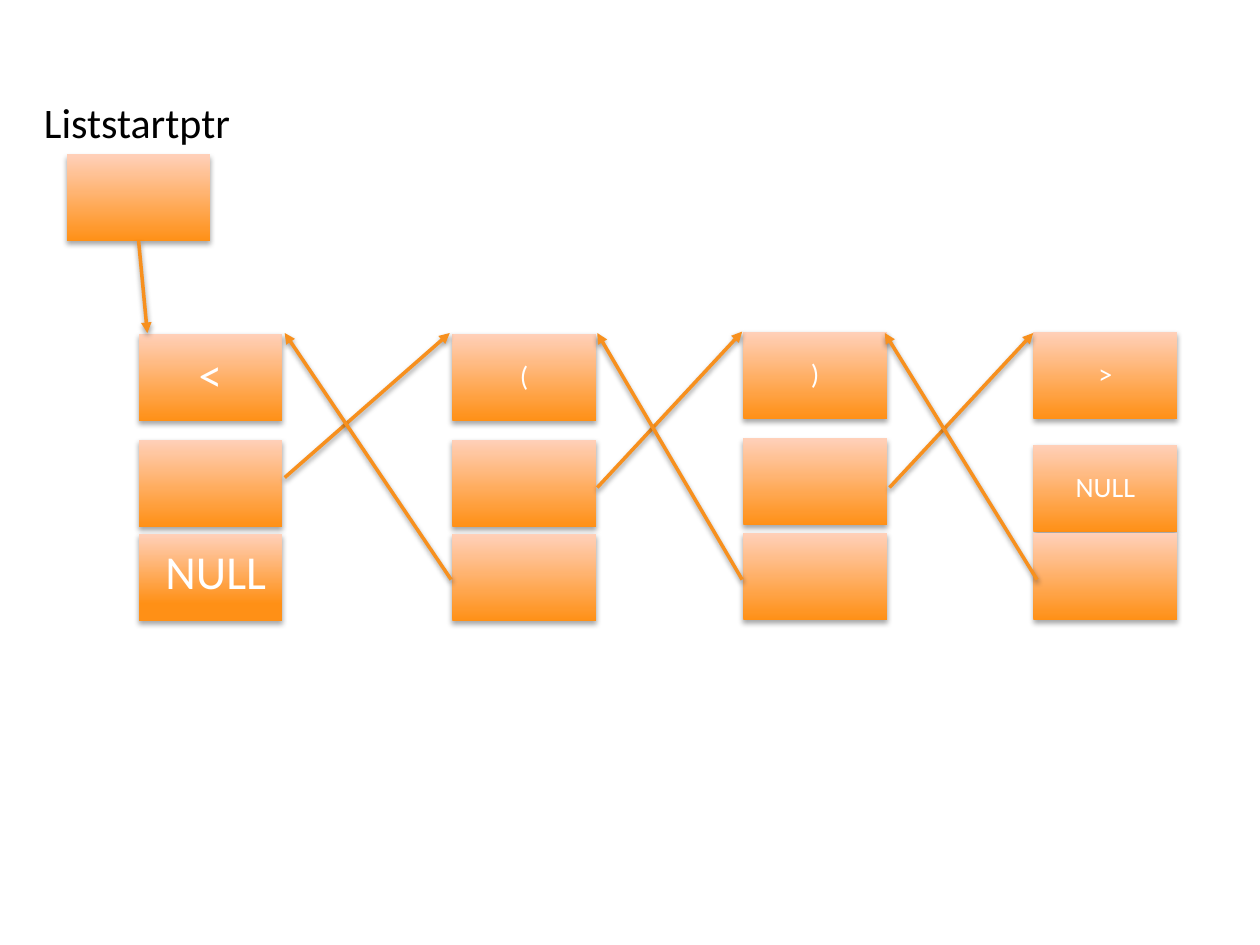
from dataclasses import dataclass

from lxml.etree import SubElement
from pptx import Presentation
from pptx.dml.color import RGBColor
from pptx.enum.shapes import MSO_CONNECTOR, MSO_SHAPE
from pptx.enum.text import MSO_ANCHOR, PP_ALIGN
from pptx.oxml.ns import qn
from pptx.slide import Slide
from pptx.util import Pt


@dataclass(frozen=True)
class Theme:
    """Colours, type sizes and box size of the diagram."""
    font: str = "Calibri"
    box_bottom: str = "FF9016"
    box_top: str = "FFD0B9"
    arrow: str = "F7901E"
    box_text: str = "FFFFFF"
    label_text: str = "000000"
    large: float = 27
    label: float = 24
    small: float = 16
    box_width: float = 82.1
    box_height: float = 49.7


@dataclass(frozen=True)
class Cell:
    """One box of a list node."""
    top: float
    text: str = ""
    size: float = 16
    inset: float = 5
    anchor: MSO_ANCHOR = MSO_ANCHOR.MIDDLE
    solid_until: float = 0


@dataclass(frozen=True)
class Node:
    """A list node: a column of boxes sharing a left edge."""
    left: float
    cells: tuple[Cell, ...]


@dataclass(frozen=True)
class Arrow:
    """A pointer from one point to another."""
    start: tuple[float, float]
    end: tuple[float, float]


THEME = Theme()

NODES = (
    Node(79.2, (
        Cell(190.8, "<", THEME.large, 8),
        Cell(251.3),
        Cell(305.3, " NULL", THEME.large, 8, MSO_ANCHOR.TOP, 0.2),
    )),
    Node(258.5, (Cell(190.8, "("), Cell(251.3), Cell(305.3))),
    Node(424.8, (Cell(189.7, ")"), Cell(250.5), Cell(304.6))),
    Node(590.6, (Cell(189.7, ">"), Cell(254.2, "NULL", inset=8), Cell(304.6))),
    Node(38.2, (Cell(88.2),)),
)

ARROWS = (
    Arrow((162.7, 272.9), (257, 190.3)),
    Arrow((341.3, 278.6), (424.1, 189.5)),
    Arrow((508.3, 278.6), (590.4, 190.3)),
    Arrow((257.8, 331.2), (162.7, 190.3)),
    Arrow((424.1, 331.2), (341.3, 190.3)),
    Arrow((592.6, 331.2), (505.6, 190.3)),
    Arrow((79.2, 137.7), (84.2, 190.3)),
)


def add_shadow(effects, opacity: int, distance: float) -> None:
    """Put a soft black shadow, cast downwards, in an effect list."""
    shadow = SubElement(effects, qn("a:outerShdw"), blurRad=str(Pt(3.1)),
                        dist=str(Pt(distance)), dir="5400000", rotWithShape="0")
    color = SubElement(shadow, qn("a:srgbClr"), val="000000")
    SubElement(color, qn("a:alpha"), val=str(opacity * 1000))


def format_runs(paragraph, size: float, color: str) -> None:
    """Set font, size and colour on every run of a paragraph."""
    for run in paragraph.runs:
        run.font.name = THEME.font
        run.font.size = Pt(size)
        run.font.color.rgb = RGBColor.from_string(color)


def add_cell(slide: Slide, left: float, cell: Cell) -> None:
    """Draw one shaded box with its text."""
    shape = slide.shapes.add_shape(
        MSO_SHAPE.RECTANGLE, Pt(left), Pt(cell.top),
        Pt(THEME.box_width), Pt(THEME.box_height))
    shape.fill.gradient()
    shape.fill.gradient_angle = 90
    bottom, top = shape.fill.gradient_stops
    bottom.color.rgb = RGBColor.from_string(THEME.box_bottom)
    bottom.position = cell.solid_until
    top.color.rgb = RGBColor.from_string(THEME.box_top)
    top.position = 1
    shape.line.fill.background()
    shape.shadow.inherit = False
    add_shadow(shape.element.spPr.find(qn("a:effectLst")), 35, 1.8)
    if not cell.text:
        return
    frame = shape.text_frame
    frame.text = cell.text
    frame.word_wrap = True
    frame.vertical_anchor = cell.anchor
    frame.margin_left = frame.margin_right = Pt(cell.inset)
    frame.margin_top = frame.margin_bottom = Pt(cell.inset)
    paragraph = frame.paragraphs[0]
    paragraph.alignment = PP_ALIGN.CENTER
    paragraph.line_spacing = 0.9
    format_runs(paragraph, cell.size, THEME.box_text)


def add_arrow(slide: Slide, arrow: Arrow) -> None:
    """Draw a pointer with a triangular head at its end."""
    points = [Pt(value) for value in arrow.start + arrow.end]
    connector = slide.shapes.add_connector(MSO_CONNECTOR.STRAIGHT, *points)
    connector.line.width = Pt(2)
    connector.line.color.rgb = RGBColor.from_string(THEME.arrow)
    properties = connector.element.spPr
    SubElement(properties.find(qn("a:ln")), qn("a:tailEnd"), type="triangle")
    add_shadow(SubElement(properties, qn("a:effectLst")), 38, 1.6)


def add_label(slide: Slide, text: str) -> None:
    """Write the name of the start pointer above its box."""
    box = slide.shapes.add_textbox(Pt(18), Pt(51.8), Pt(121.7), Pt(36))
    box.text_frame.text = text
    box.text_frame.word_wrap = False
    format_runs(box.text_frame.paragraphs[0], THEME.label, THEME.label_text)


def main() -> None:
    """Build the linked list slide and save it."""
    presentation = Presentation()
    presentation.slide_width, presentation.slide_height = Pt(720), Pt(540)
    slide = presentation.slides.add_slide(presentation.slide_layouts[6])
    for node in NODES:
        for cell in node.cells:
            add_cell(slide, node.left, cell)
    for arrow in ARROWS:
        add_arrow(slide, arrow)
    add_label(slide, "Liststartptr")
    presentation.save("out.pptx")


main()
